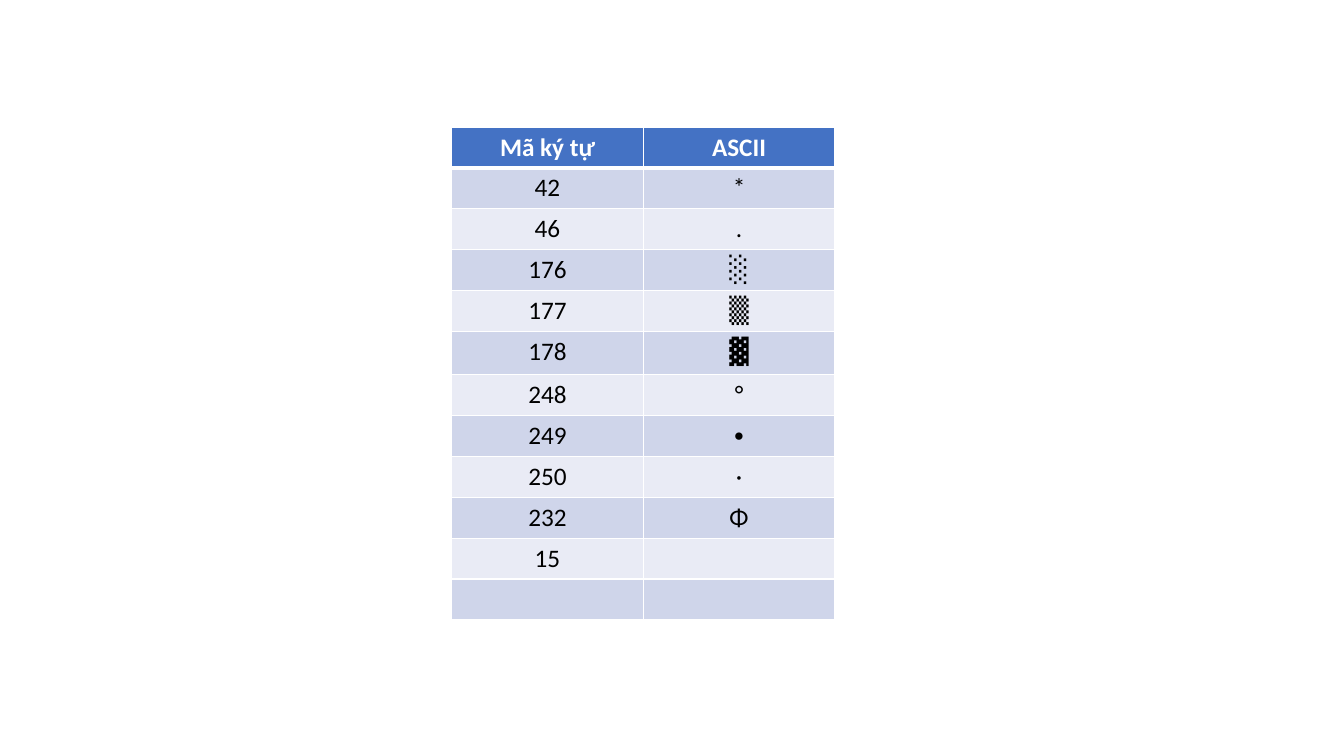
from typing import NamedTuple

from lxml import etree
from pptx import Presentation
from pptx.dml.color import RGBColor
from pptx.enum.text import PP_ALIGN
from pptx.oxml.ns import qn
from pptx.util import Inches, Pt

CENTER = PP_ALIGN.CENTER
BLANK_LAYOUT = 6
WHITE, BLACK = "FFFFFF", "000000"
HEADER_FILL = "4472C4"
BAND_FILLS = ("CFD5EA", "E9EBF5")
THIN, THICK = 1, 3
ROW_HEIGHT, TALL_ROW_HEIGHT = Inches(0.4), Inches(0.43)
COLUMN_WIDTH = Inches(1.9)


class CodeRow(NamedTuple):
    """One table row: a character code and its symbol."""
    code: str
    symbol: str


class CellStyle(NamedTuple):
    """Look of a cell, with its top and bottom border widths in points."""
    fill: str
    color: str
    bold: bool
    top: int
    bottom: int


ROWS = [
    CodeRow("Mã ký tự", "ASCII"),
    CodeRow("42", "*"),
    CodeRow("46", "."),
    CodeRow("176", "░"),
    CodeRow("177", "▒"),
    CodeRow("178", "▓"),
    CodeRow("248", "°"),
    CodeRow("249", "∙"),
    CodeRow("250", "·"),
    CodeRow("232", "Φ"),
    CodeRow("15", ""),
    CodeRow("", ""),
]


def rgb(value: str) -> RGBColor:
    """Turn a hex string into a colour."""
    return RGBColor.from_string(value)


def row_style(index: int) -> CellStyle:
    """Return the header style or the banded style of a body row."""
    if index == 0:
        return CellStyle(HEADER_FILL, WHITE, True, THIN, THICK)
    top = THICK if index == 1 else THIN
    return CellStyle(BAND_FILLS[(index - 1) % 2], BLACK, False, top, THIN)


def set_borders(cell, style: CellStyle) -> None:
    """Add white borders, which precede the fill in the cell properties."""
    sides = {"lnL": THIN, "lnR": THIN, "lnT": style.top, "lnB": style.bottom}
    tc_pr = cell._tc.get_or_add_tcPr()
    for position, (side, width) in enumerate(sides.items()):
        line = etree.Element(qn(f"a:{side}"), w=str(Pt(width)))
        fill = etree.SubElement(line, qn("a:solidFill"))
        etree.SubElement(fill, qn("a:srgbClr"), val=WHITE)
        tc_pr.insert(position, line)


def fill_cell(cell, text: str, style: CellStyle) -> None:
    """Write and format one cell."""
    cell.fill.solid()
    cell.fill.fore_color.rgb = rgb(style.fill)
    set_borders(cell, style)
    if not text:
        return
    cell.text_frame.text = text
    p = cell.text_frame.paragraphs[0]
    p.alignment = CENTER
    font = p.runs[0].font
    font.name, font.size, font.bold = "Calibri", Pt(18), style.bold
    font.color.rgb = rgb(style.color)


def add_code_table(s) -> None:
    """Add the table of character codes to the slide."""
    columns = len(CodeRow._fields)
    table = s.shapes.add_table(
        len(ROWS), columns, Inches(4.48), Inches(1.26),
        COLUMN_WIDTH * columns, ROW_HEIGHT * len(ROWS)).table
    for index, row in enumerate(ROWS):
        table.rows[index].height = (
            TALL_ROW_HEIGHT if row.code == "178" else ROW_HEIGHT)
        for column, text in enumerate(row):
            fill_cell(table.cell(index, column), text, row_style(index))


prs = Presentation()
prs.slide_width, prs.slide_height = Inches(13.33), Inches(7.5)
s = prs.slides.add_slide(prs.slide_layouts[BLANK_LAYOUT])
add_code_table(s)
prs.save("out.pptx")
